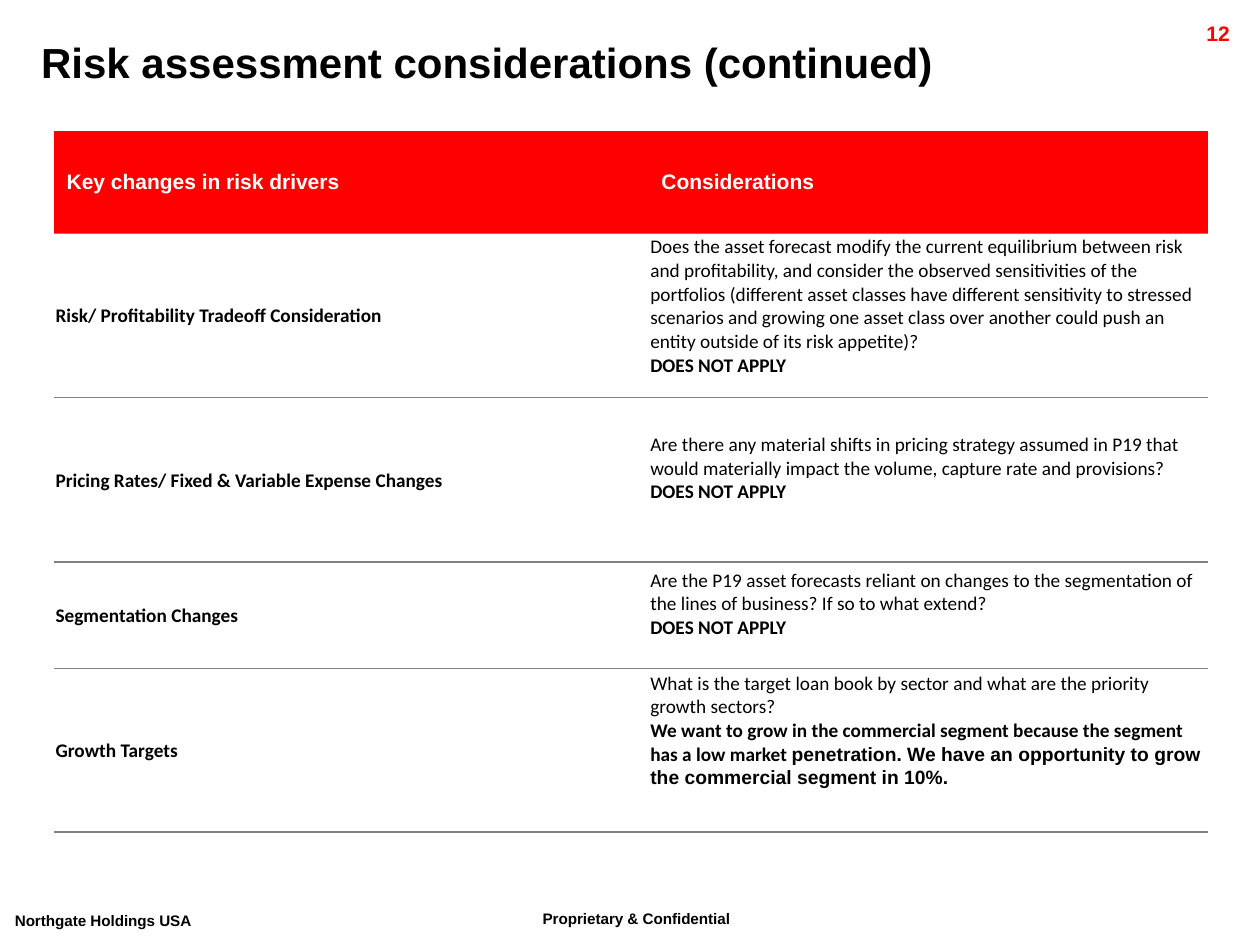
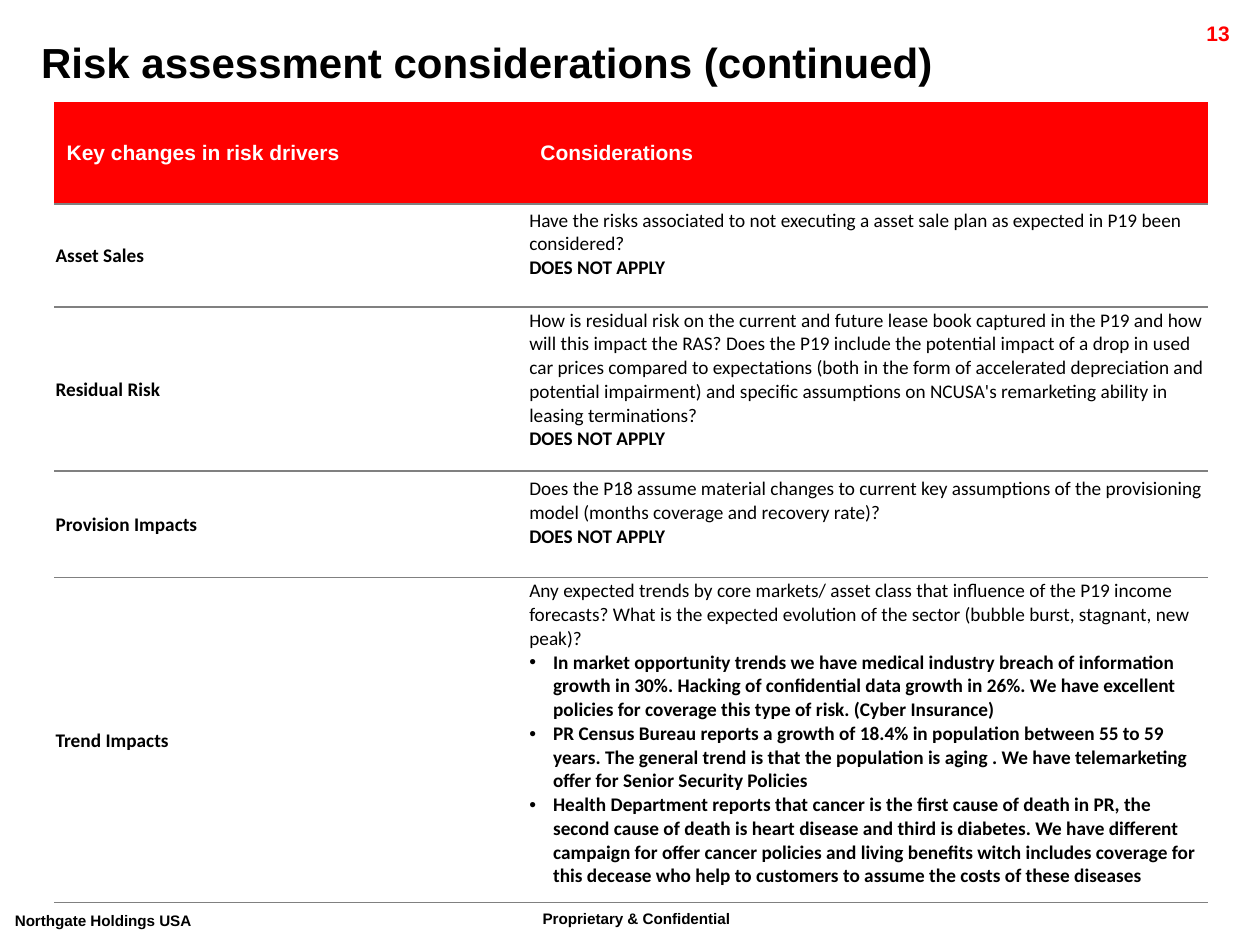
from pptx import Presentation
from pptx.dml.color import RGBColor
from pptx.enum import text as t
from pptx.oxml import parse_xml
from pptx.oxml.ns import nsdecls
from pptx.util import Cm, Pt

RED, GREY, BLACK, WHITE = "FF0000", "808080", "000000", "FFFFFF"
HEADING, BODY = "Arial", "Calibri"
PLAIN_TABLE = "{2D5ABB26-0587-4C30-8999-92F81FD0307C}"
TITLE = "Risk assessment considerations (continued)"
HEADERS = ("Key changes in risk drivers", "Considerations")
FIRST_PAGE = 12
NOT_APPLICABLE = [("DOES NOT APPLY", {})]

TABLES = [
    {
        "top": 2.65,
        "columns": (11.99, 11.27),
        "rows": [
            ("Risk/ Profitability Tradeoff Consideration", 3.3, 0.4,
             "Does the asset forecast modify the current equilibrium between risk and profitability, and "
             "consider the observed sensitivities of the portfolios (different asset classes have different "
             "sensitivity to stressed scenarios and growing one asset class over another could push an "
             "entity outside of its risk appetite)?",
             [NOT_APPLICABLE]),
            ("Pricing Rates/ Fixed & Variable Expense Changes", 3.32, 0.48,
             "Are there any material shifts in pricing strategy assumed in P19 that would materially impact "
             "the volume, capture rate and provisions?",
             [NOT_APPLICABLE]),
            ("Segmentation Changes", 2.15, 0.48,
             "Are the P19 asset forecasts reliant on changes to the segmentation of the lines of business? "
             "If so to what extend?",
             [NOT_APPLICABLE]),
            ("Growth Targets", 3.29, 0.85,
             "What is the target loan book by sector and what are the priority growth sectors?",
             [[("We want to grow in the commercial segment because the segment has a low market ", {}),
               ("penetration. We have an opportunity to grow the commercial segment in 10%.",
                {"font": HEADING})]]),
        ],
    },
    {
        "top": 2.05,
        "columns": (9.55, 13.71),
        "rows": [
            ("Asset Sales", 2.08, 0.48,
             "Have the risks associated to not executing a asset sale plan as expected in P19 been considered?",
             [NOT_APPLICABLE]),
            ("Residual Risk", 3.3, 0.4,
             "How is residual risk on the current and future lease book captured in the P19 and how will this "
             "impact the RAS? Does the P19 include the potential impact of a drop in used car prices compared "
             "to expectations (both in the form of accelerated depreciation and potential impairment) and "
             "specific assumptions on NCUSA's remarketing ability in leasing terminations?",
             [NOT_APPLICABLE]),
            ("Provision Impacts", 2.15, 0.48,
             "Does the P18 assume material changes to current key assumptions of the provisioning model "
             "(months coverage and recovery rate)?",
             [NOT_APPLICABLE]),
            ("Trend Impacts", 6.55, 0.28,
             "Any expected trends by core markets/ asset class that influence of the P19 income forecasts? "
             "What is the expected evolution of the sector (bubble burst, stagnant, new peak)?",
             [[("In market opportunity trends we have medical industry breach of information growth in 30%. "
                "Hacking of confidential data growth in 26%. We have excellent policies for coverage this "
                "type of risk. (Cyber Insurance)", {"bullet": True})],
              [("PR Census Bureau reports a growth of 18.4% in population between 55 to 59 years. The general "
                "trend is that the population is aging . We have telemarketing offer for Senior Security "
                "Policies", {"bullet": True})],
              [("Health Department reports that cancer is the first cause of death in PR, the second cause of "
                "death is heart disease and third is diabetes. We have different campaign for offer cancer "
                "policies and living benefits witch includes coverage for this decease who help to customers "
                "to assume the costs of these diseases", {"bullet": True})]]),
        ],
    },
]


def rgb(value):
    return RGBColor.from_string(value)


def add_text(paragraph, words, size=11, font=BODY, color=BLACK, bold=True,
             align=t.PP_ALIGN.LEFT, baseline=None, bullet=False):
    paragraph.alignment = align
    if bullet:
        properties = paragraph._p.get_or_add_pPr()
        properties.set("marL", str(Cm(0.48)))
        properties.set("indent", str(-Cm(0.48)))
        properties.append(parse_xml(f'<a:buFont {nsdecls("a")} typeface="Arial"/>'))
        properties.append(parse_xml(f'<a:buChar {nsdecls("a")} char="•"/>'))
    run = paragraph.add_run()
    run.text = words
    run.font.size = Pt(size)
    run.font.name = font
    run.font.bold = bold
    run.font.color.rgb = rgb(color)
    if baseline:
        run._r.get_or_add_rPr().set("baseline", str(baseline * 1000))


def add_label(slide, box, words, wrap=True, **style):
    shape = slide.shapes.add_textbox(*map(Cm, box))
    shape.text_frame.word_wrap = wrap
    add_text(shape.text_frame.paragraphs[0], words, font=HEADING, **style)


def add_frame(slide, page):
    footer = {"size": 15, "baseline": 30}
    add_label(slide, (10.69, 18.14, 5.54, 0.89), "Proprietary & Confidential", **footer)
    add_label(slide, (0.05, 18.19, 4.85, 0.89), "Northgate Holdings USA", wrap=False, **footer)
    add_label(slide, (22.63, 0.28, 2.41, 0.61), str(page), size=12, color=RED, align=t.PP_ALIGN.RIGHT)
    add_label(slide, (0.58, 0.61, 24.94, 1.27), TITLE, size=24)


def style_cell(cell, fill=None, bottom=None):
    cell.vertical_anchor = t.MSO_ANCHOR.MIDDLE
    cell._tc.get_or_add_tcPr().append(parse_xml(
        f'<a:lnB {nsdecls("a")} w="{Pt(1)}"><a:solidFill><a:srgbClr val="{GREY}"/></a:solidFill></a:lnB>'))
    if fill:
        cell.fill.solid()
        cell.fill.fore_color.rgb = rgb(fill)
    else:
        cell.fill.background()
    if bottom is not None:
        cell.margin_left = cell.margin_right = cell.margin_top = Cm(0.03)
        cell.margin_bottom = Cm(bottom)


def add_risk_table(slide, left, top, columns, rows, header_height=2.06):
    heights = [header_height] + [row[1] for row in rows]
    frame = slide.shapes.add_table(len(heights), len(columns), Cm(left), Cm(top),
                                   Cm(sum(columns)), Cm(sum(heights)))
    table = frame.table
    table._tbl.tblPr.find("{*}tableStyleId").text = PLAIN_TABLE
    for column, width in zip(table.columns, columns):
        column.width = Cm(width)
    for row, height in zip(table.rows, heights):
        row.height = Cm(height)

    for index, header in enumerate(HEADERS):
        cell = table.cell(0, index)
        style_cell(cell, fill=RED)
        add_text(cell.text_frame.paragraphs[0], header, size=12, font=HEADING, color=WHITE)

    for index, (driver, _, space_below, question, answers) in enumerate(rows, 1):
        driver_cell, consideration_cell = table.cell(index, 0), table.cell(index, 1)
        style_cell(driver_cell, bottom=0)
        add_text(driver_cell.text_frame.paragraphs[0], driver)
        style_cell(consideration_cell, bottom=space_below)
        add_text(consideration_cell.text_frame.paragraphs[0], question, bold=False)
        for answer in answers:
            paragraph = consideration_cell.text_frame.add_paragraph()
            for words, style in answer:
                add_text(paragraph, words, **style)


def main():
    presentation = Presentation()
    presentation.slide_width, presentation.slide_height = Cm(25.4), Cm(19.05)
    for page, content in enumerate(TABLES, FIRST_PAGE):
        slide = presentation.slides.add_slide(presentation.slide_layouts[6])
        add_frame(slide, page)
        add_risk_table(slide, 1.09, **content)
    presentation.save("out.pptx")


if __name__ == "__main__":
    main()
